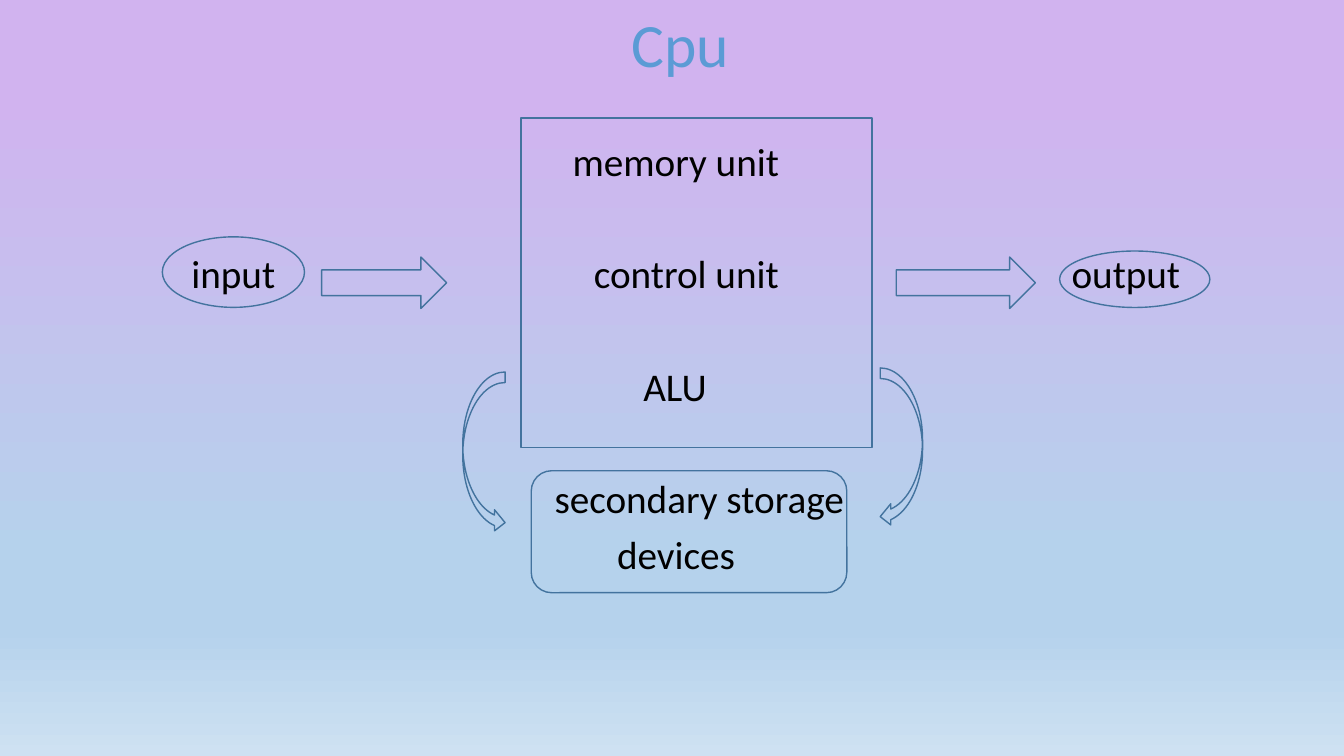
from lxml import etree
from pptx import Presentation
from pptx.dml.color import RGBColor
from pptx.enum.shapes import MSO_SHAPE
from pptx.enum.text import MSO_ANCHOR, MSO_AUTO_SIZE, PP_ALIGN
from pptx.oxml.ns import qn
from pptx.util import Inches, Pt

RECTANGLE = MSO_SHAPE.RECTANGLE
ROUNDED = MSO_SHAPE.ROUNDED_RECTANGLE
ELLIPSE = MSO_SHAPE.OVAL
RIGHT_ARROW = MSO_SHAPE.RIGHT_ARROW
CURVED_RIGHT = MSO_SHAPE.CURVED_RIGHT_ARROW
CURVED_LEFT = MSO_SHAPE.CURVED_LEFT_ARROW
MIDDLE, TOP = MSO_ANCHOR.MIDDLE, MSO_ANCHOR.TOP
CENTER, LEFT = PP_ALIGN.CENTER, PP_ALIGN.LEFT
NO_FIT = MSO_AUTO_SIZE.NONE

WIDTH, HEIGHT = Inches(13.33), Inches(7.5)
FONT = "Calibri"
OUTLINE = "43739E"
BACKGROUND_STOPS = [(12, "D1B3EF"), (74, "B5D2EC"), (83, "B5D2EC"), (100, "CEE1F2")]

DIAGRAM_PARTS = [
    (RECTANGLE, (38.78, 15.6, 26.11, 43.6)),
    (ROUNDED, (39.53, 62.27, 23.48, 16.13)),
    (RIGHT_ARROW, (23.93, 34, 9.3, 6.8)),
    (RIGHT_ARROW, (66.69, 34, 10.35, 6.8)),
    (CURVED_RIGHT, (34.43, 49.2, 3.15, 21.33)),
    (CURVED_LEFT, (65.49, 48.67, 3.15, 21.07)),
    (ELLIPSE, (12.08, 31.33, 10.58, 9.33)),
    (ELLIPSE, (78.84, 33.2, 11.18, 7.47)),
]

UNIT_LINES = [
    ("memory unit", 40.52, 0),
    ("control unit", 42.35, 50),
    ("ALU", 46.61, 50),
    ("secondary storage", 38.96, 50),
    ("devices", 44.35, 10),
]

END_LABELS = [
    ("input", (13.5, 33, 12, 6.67)),
    ("output", (78.99, 33, 12, 6.67)),
]


def color(value):
    return RGBColor.from_string(value)


def inside(box, shares):
    left, top, width, height = box
    x, y, w, h = shares
    return (
        int(left + width * x / 100),
        int(top + height * y / 100),
        int(width * w / 100),
        int(height * h / 100),
    )


def move(shape, box):
    shape.left, shape.top, shape.width, shape.height = box


def format_paragraph(paragraph, size, text_color, alignment):
    paragraph.alignment = alignment
    paragraph.line_spacing = 0.9
    for run in paragraph.runs:
        run.font.name = FONT
        run.font.size = Pt(size)
        run.font.color.rgb = color(text_color)


def paint_background(slide):
    fill = slide.background.fill
    fill.gradient()
    fill.gradient_angle = 270
    stops = slide.element.find(".//" + qn("a:gsLst"))
    for stop in list(stops):
        stops.remove(stop)
    for position, value in BACKGROUND_STOPS:
        stop = etree.SubElement(stops, qn("a:gs"), pos=str(position * 1000))
        etree.SubElement(stop, qn("a:srgbClr"), val=value)


def add_title(slide, box):
    title = slide.shapes.title
    move(title, box)
    frame = title.text_frame
    frame.text = "Cpu"
    frame.auto_size = NO_FIT
    frame.vertical_anchor = MIDDLE
    frame.margin_left = Inches(0.26)
    format_paragraph(frame.paragraphs[0], 44, "5B9BD5", CENTER)


def indent_without_bullet(paragraph, length):
    properties = paragraph._p.get_or_add_pPr()
    properties.set("marL", str(length))
    properties.set("indent", "0")
    etree.SubElement(properties, qn("a:buNone"))


def add_units(slide, box):
    body = slide.placeholders[1]
    move(body, box)
    frame = body.text_frame
    frame.text = "\n".join(words for words, _, _ in UNIT_LINES)
    frame.auto_size = NO_FIT
    frame.vertical_anchor = TOP
    for paragraph, (_, indent, space) in zip(frame.paragraphs, UNIT_LINES):
        format_paragraph(paragraph, 28, "000000", LEFT)
        paragraph.space_before = Pt(space)
        indent_without_bullet(paragraph, int(box[2] * indent / 100))


def add_end_labels(slide, box):
    for words, shares in END_LABELS:
        frame = slide.shapes.add_textbox(*inside(box, shares)).text_frame
        frame.word_wrap = True
        frame.text = words
        format_paragraph(frame.paragraphs[0], 28, "000000", LEFT)


def add_diagram(slide, box):
    for kind, shares in DIAGRAM_PARTS:
        shape = slide.shapes.add_shape(kind, *inside(box, shares))
        shape.shadow.inherit = False
        shape.fill.background()
        shape.line.color.rgb = color(OUTLINE)
        shape.line.width = Pt(1)


def main():
    presentation = Presentation()
    presentation.slide_width, presentation.slide_height = WIDTH, HEIGHT
    slide = presentation.slides.add_slide(presentation.slide_layouts[1])
    page = (0, 0, WIDTH, HEIGHT)
    paint_background(slide)
    add_title(slide, inside(page, (6.9, 0, 86.27, 12.53)))
    add_units(slide, inside(page, (6.9, 18.2, 86.27, 71.8)))
    add_end_labels(slide, page)
    add_diagram(slide, page)
    presentation.save("out.pptx")


if __name__ == "__main__":
    main()
